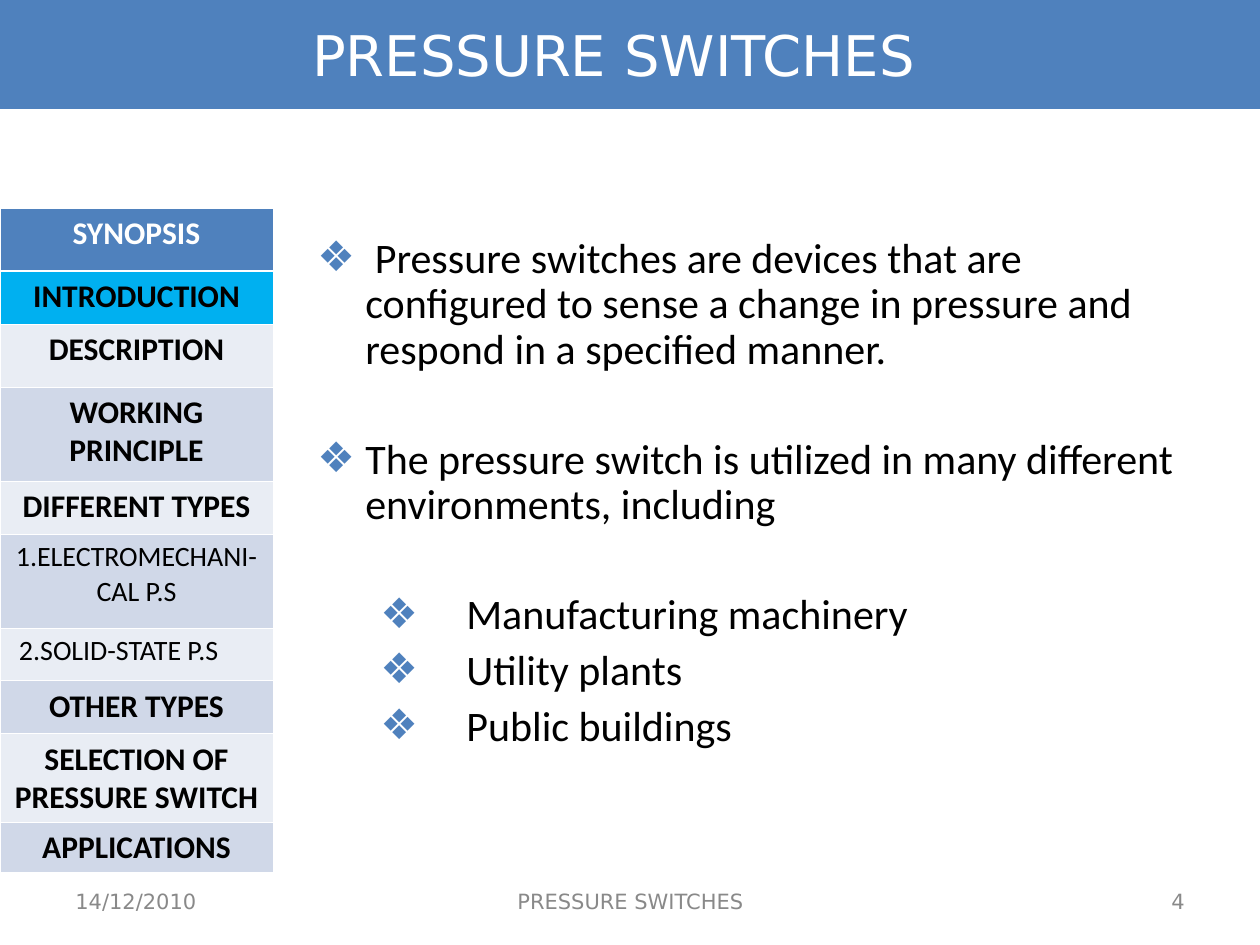
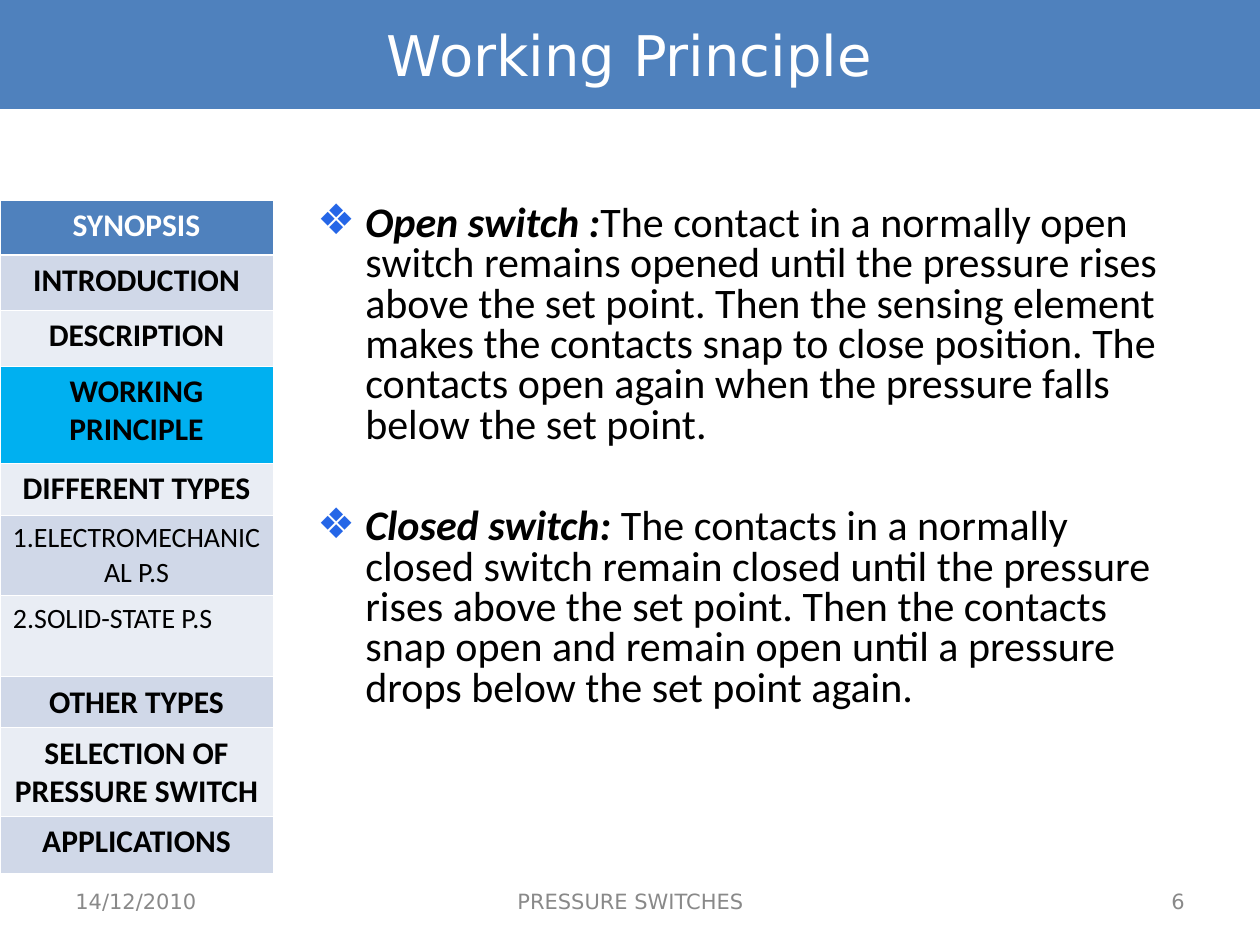
from lxml.etree import SubElement
from pptx import Presentation
from pptx.dml.color import RGBColor
from pptx.enum.text import MSO_ANCHOR, MSO_AUTO_SIZE, PP_ALIGN
from pptx.oxml.ns import qn
from pptx.util import Emu, Pt

SCALE = 914400 / 126
BLUE, CYAN, WHITE, BLACK, GREY = "4F81BD", "00B0F0", "FFFFFF", "000000", "898989"
BANDS = "E9EDF4", "D0D8E8"
SANS, BODY = "DejaVu Sans", "Calibri"
LEFT, MID, RIGHT = PP_ALIGN.LEFT, PP_ALIGN.CENTER, PP_ALIGN.RIGHT
MENU = [
    "SYNOPSIS", "INTRODUCTION", "DESCRIPTION", "WORKING PRINCIPLE",
    "DIFFERENT TYPES", "1.ELECTROMECHANICAL P.S", "2.SOLID-STATE P.S",
    "OTHER TYPES", "SELECTION OF PRESSURE SWITCH", "APPLICATIONS",
]
INDENTS = [(48, -48), (149, -86)]
SLIDES = [
    dict(
        title="PRESSURE SWITCHES", inset=45, page="4", active=1,
        top=208, rows=[63, 53, 63, 94, 53, 94, 53, 53, 88, 50],
        names={5: "1.ELECTROMECHANI-CAL P.S"}, pad=19,
        box=(305, 231, 892, 614), mark=BLUE, pitch=0.9,
        items=[
            (0, 0, "", " Pressure switches are devices that are configured to sense "
             "a change in pressure and respond in a specified manner."),
            (0, 37, "", "The pressure switch is utilized in many different "
             "environments, including"),
            (1, 37, "", "Manufacturing machinery"),
            (1, 6, "", "Utility plants"),
            (1, 6, "", "Public buildings"),
        ],
    ),
    dict(
        title="Working Principle", inset=13, page="6", active=3,
        top=200, rows=[55, 55, 56, 97, 52, 81, 81, 51, 88, 57],
        names={}, pad=13,
        box=(305, 199, 892, 624), mark="2566E7", pitch=0.8,
        items=[
            (0, 0, "Open switch :", "The contact in a normally open switch remains "
             "opened until the pressure rises above the set point. Then the sensing "
             "element makes the contacts snap to close position. The contacts open "
             "again when the pressure falls below the set point."),
            (0, 35, "Closed switch: ", "The contacts in a normally closed switch "
             "remain closed until the pressure rises above the set point. Then the "
             "contacts snap open and remain open until a pressure drops below the "
             "set point again."),
        ],
    ),
]


def px(num):
    return Emu(round(num * SCALE))


def tint(code):
    return RGBColor.from_string(code)


def paint(shape, code):
    shape.fill.solid()
    shape.fill.fore_color.rgb = tint(code)


def style(para, name, size, code, align=LEFT, bold=False):
    para.alignment = align
    font = para.font
    font.name, font.size, font.bold = name, Pt(size), bold
    font.color.rgb = tint(code)


def add_box(slide, left, top, width, height):
    box = slide.shapes.add_textbox(px(left), px(top), px(width), px(height))
    box.text_frame.word_wrap = True
    return box.text_frame


def add_title(slide, text, inset):
    title = slide.shapes.title
    title.left, title.top, title.width, title.height = 0, 0, px(1260), px(109)
    paint(title, BLUE)
    frame = title.text_frame
    frame.text = text
    frame.auto_size = MSO_AUTO_SIZE.NONE
    frame.vertical_anchor = MSO_ANCHOR.MIDDLE
    frame.margin_right = px(inset)
    style(frame.paragraphs[0], SANS, 32, WHITE, MID)


def add_foot(slide, page):
    for left, width, text, align in (
        (63, 294, "14/12/2010", LEFT),
        (431, 399, "PRESSURE SWITCHES", MID),
        (903, 294, page, RIGHT),
    ):
        frame = add_box(slide, left, 876, width, 50)
        frame.vertical_anchor = MSO_ANCHOR.MIDDLE
        frame.text = text
        style(frame.paragraphs[0], SANS, 12, GREY, align)


def add_edges(cell, above, below):
    props = cell._tc.get_or_add_tcPr()
    edges = ("lnL", 0.45), ("lnR", 0.45), ("lnT", above), ("lnB", below)
    for spot, (tag, width) in enumerate(edges):
        line = SubElement(props, qn("a:" + tag), w=str(Pt(width)))
        fill = SubElement(line, qn("a:solidFill"))
        SubElement(fill, qn("a:srgbClr"), val=WHITE)
        props.insert(spot, line)


def add_menu(slide, top, rows, active, names, pad):
    frame = slide.shapes.add_table(len(MENU), 1, 0, px(top), px(273), px(sum(rows)))
    table = frame.table
    table.horz_banding = False
    for num, (text, height) in enumerate(zip(MENU, rows)):
        table.rows[num].height = px(height)
        cell = table.cell(num, 0)
        cell.text = names.get(num, text)
        head, minor = num == 0, text[0].isdigit()
        solid = text.startswith("2.")
        if solid:
            cell.margin_left = px(pad)
        style(cell.text_frame.paragraphs[0], BODY, 16 if minor else 18,
              WHITE if head else BLACK, LEFT if solid else MID, not minor)
        paint(cell, BLUE if head else CYAN if num == active else BANDS[num % 2])
        add_edges(cell, 1.47 if num == 1 else 0.45, 1.47 if head else 0.45)


def add_mark(para, level, code):
    props = para._p.get_or_add_pPr()
    margin, indent = INDENTS[level]
    props.set("marL", str(px(margin)))
    props.set("indent", str(px(indent)))
    SubElement(SubElement(props, qn("a:buClr")), qn("a:srgbClr"), val=code)
    SubElement(props, qn("a:buFont"), typeface=SANS)
    SubElement(props, qn("a:buChar"), char="❖")


def add_list(slide, box, items, mark, pitch):
    frame = add_box(slide, *box)
    for num, (level, gap, lead, text) in enumerate(items):
        para = frame.add_paragraph() if num else frame.paragraphs[0]
        para.level = level
        para.line_spacing = pitch
        para.space_before = Pt(gap)
        add_mark(para, level, mark)
        style(para, BODY, 24, BLACK)
        if lead:
            run = para.add_run()
            run.text = lead
            run.font.bold = run.font.italic = True
        para.add_run().text = text


def main():
    deck = Presentation()
    deck.slide_width, deck.slide_height = px(1260), px(945)
    for data in SLIDES:
        slide = deck.slides.add_slide(deck.slide_layouts[5])
        add_title(slide, data["title"], data["inset"])
        add_list(slide, data["box"], data["items"], data["mark"], data["pitch"])
        add_foot(slide, data["page"])
        add_menu(slide, data["top"], data["rows"], data["active"],
                 data["names"], data["pad"])
    deck.save("out.pptx")


if __name__ == "__main__":
    main()
